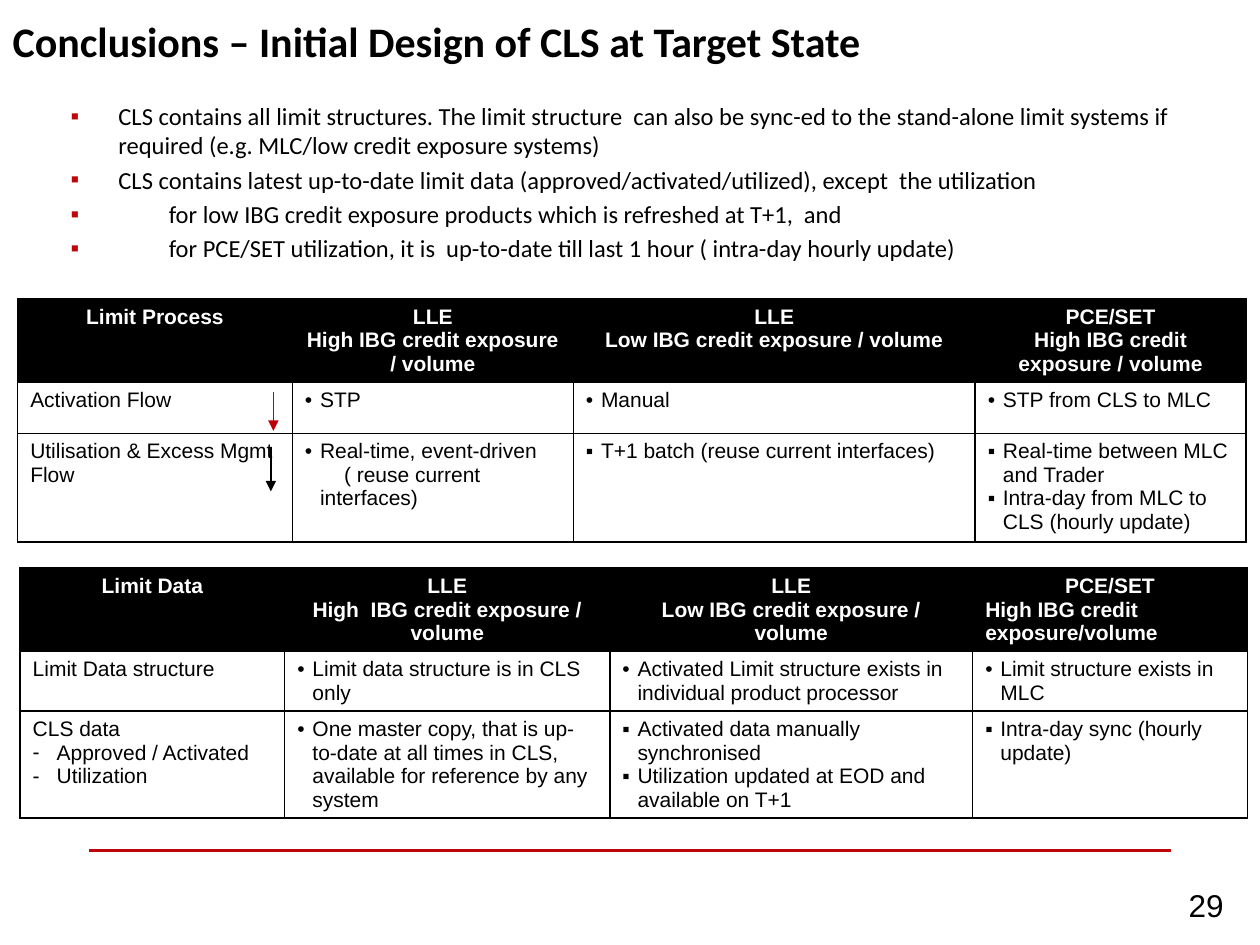
import pptx
import pptx.dml.color
import pptx.enum.shapes
import pptx.enum.text
import pptx.oxml
import pptx.oxml.ns
import pptx.util
from pptx.util import Inches

COLORS = {"black": "000000", "white": "FFFFFF", "rule": "BE050A", "arrow": "BE0006"}
ALIGN = pptx.enum.text.PP_ALIGN
ANCHOR = pptx.enum.text.MSO_ANCHOR
NS = pptx.oxml.ns.nsdecls("a")


def rgb(name):
    return pptx.dml.color.RGBColor.from_string(COLORS[name])


def xml(markup):
    """Parse one drawing element, given without its namespace."""
    tag, rest = markup[1:].split(" ", 1)
    return pptx.oxml.parse_xml(f"<{tag} {NS} {rest}")


def write(paragraph, text, size=12, font="Arial", color="black", bold=False,
          align=ALIGN.LEFT, bullet=None, bullet_color=None, margin=0, indent=0,
          before=0):
    """Fill one paragraph; margin and indent are in inches."""
    properties = paragraph._p.get_or_add_pPr()
    properties.set("marL", str(Inches(margin)))
    properties.set("indent", str(Inches(indent)))
    if bullet_color:
        properties.append(xml(f'<a:buClr ><a:srgbClr val="{COLORS[bullet_color]}"/></a:buClr>'))
    if bullet:
        properties.append(xml('<a:buFont typeface="Arial"/>'))
        properties.append(xml(f'<a:buChar char="{bullet}"/>'))
    else:
        properties.append(xml("<a:buNone />"))
    paragraph.alignment = align
    paragraph.space_before = pptx.util.Pt(before)
    run = paragraph.add_run()
    run.text = text
    run.font.size = pptx.util.Pt(size)
    run.font.name = font
    run.font.bold = bold
    run.font.color.rgb = rgb(color)


def write_all(frame, entries, **common):
    """Write (text, format) pairs, one paragraph each."""
    for number, (text, style) in enumerate(entries):
        paragraph = frame.add_paragraph() if number else frame.paragraphs[0]
        write(paragraph, text, **{**common, **style, **({} if number else {"before": 0})})


def place(shape, left, top, width, height):
    shape.left, shape.top = Inches(left), Inches(top)
    shape.width, shape.height = Inches(width), Inches(height)


def add_line(slide, start, end, color, weight, arrow=False):
    line = slide.shapes.add_connector(
        pptx.enum.shapes.MSO_CONNECTOR.STRAIGHT, *map(Inches, start + end))
    line.line.color.rgb = rgb(color)
    line.line.width = pptx.util.Pt(weight)
    if arrow:
        line.line._get_or_add_ln().append(xml('<a:tailEnd type="triangle"/>'))
    line._element.spPr.append(xml("<a:effectLst />"))


def add_title(slide, box, text):
    title = slide.shapes.title
    place(title, *box)
    title.text_frame.vertical_anchor = ANCHOR.MIDDLE
    title.text_frame.auto_size = pptx.enum.text.MSO_AUTO_SIZE.NONE
    write(title.text_frame.paragraphs[0], text, size=24, font="Calibri", bold=True)


def add_conclusions(slide, box, entries):
    body = slide.placeholders[1]
    place(body, *box)
    body.text_frame.auto_size = pptx.enum.text.MSO_AUTO_SIZE.NONE
    write_all(body.text_frame, entries, size=14, font="Calibri", bullet="▪",
              bullet_color="rule", before=2.8)


def add_limit_table(slide, left, top, widths, heights, rows):
    table = slide.shapes.add_table(
        len(rows), len(widths), Inches(left), Inches(top),
        Inches(sum(widths)), Inches(sum(heights))).table
    table.horz_banding = False
    for column, width in zip(table.columns, widths):
        column.width = Inches(width)
    for index, (row, height) in enumerate(zip(rows, heights)):
        table.rows[index].height = Inches(height)
        common = dict(color="black")
        if index == 0:
            common = dict(color="white", bold=True, align=ALIGN.CENTER)
        for column, entries in enumerate(row):
            cell = table.cell(index, column)
            for side in "LRTB":
                cell._tc.get_or_add_tcPr().append(xml(
                    f'<a:ln{side} w="{pptx.util.Pt(1)}"><a:solidFill>'
                    f'<a:srgbClr val="{COLORS["black"]}"/></a:solidFill></a:ln{side}>'))
            cell.fill.solid()
            cell.fill.fore_color.rgb = rgb("white" if index else "black")
            write_all(cell.text_frame, entries, **common)


def add_page_number(slide, box, number):
    frame = slide.shapes.add_textbox(*map(Inches, box)).text_frame
    frame.word_wrap = False
    frame.vertical_anchor = ANCHOR.MIDDLE
    write(frame.paragraphs[0], number, size=18, align=ALIGN.RIGHT)


def plain(*texts):
    return [(text, {}) for text in texts]


def listed(bullet, *texts, hang=0.12):
    return [(text, dict(bullet=bullet, margin=hang, indent=-hang)) for text in texts]


CONCLUSIONS = listed(
    "▪",
    "CLS contains all limit structures. The limit structure  can also be sync-ed to the "
    "stand-alone limit systems if required (e.g. MLC/low credit exposure systems)",
    "CLS contains latest up-to-date limit data (approved/activated/utilized), "
    "except  the utilization", hang=0.38,
) + listed(
    "▪",
    "for low IBG credit exposure products which is refreshed at T+1,  and",
    "for PCE/SET utilization, it is  up-to-date till last 1 hour ( intra-day hourly update)",
    hang=0.78,
)

LIMIT_PROCESS = [
    [plain("Limit Process"),
     plain("LLE", "High IBG credit exposure / volume"),
     plain("LLE", "Low IBG credit exposure / volume"),
     plain("PCE/SET", "High IBG credit exposure / volume")],
    [plain("Activation Flow"), listed("•", "STP"), listed("•", "Manual"),
     listed("•", "STP from CLS to MLC")],
    [plain("Utilisation & Excess Mgmt  Flow"),
     listed("•", "Real-time, event-driven")
     + [("( reuse current interfaces)", dict(margin=0.12, indent=0.19))],
     listed("▪", "T+1 batch (reuse current interfaces)"),
     listed("▪", "Real-time between MLC and Trader",
            "Intra-day from MLC to CLS (hourly update)")],
]

LIMIT_DATA = [
    [plain("Limit Data"),
     plain("LLE", "High  IBG credit exposure / volume"),
     plain("LLE", "Low IBG credit exposure / volume"),
     plain("PCE/SET") + [("High IBG credit exposure/volume", dict(align=ALIGN.LEFT))]],
    [plain("Limit Data structure"),
     listed("•", "Limit data structure is in CLS only"),
     listed("•", "Activated Limit structure exists in individual product processor"),
     listed("•", "Limit structure exists in MLC")],
    [plain("CLS data") + listed("-", "Approved / Activated", "Utilization", hang=0.19),
     listed("•", "One master copy, that is up-to-date at all times in CLS, "
                 "available for reference by any system"),
     listed("▪", "Activated data manually synchronised",
            "Utilization updated at EOD and available on T+1"),
     listed("▪", "Intra-day sync (hourly update)")],
]


def main():
    deck = pptx.Presentation()
    deck.slide_width, deck.slide_height = Inches(10), Inches(7.5)
    slide = deck.slides.add_slide(deck.slide_layouts[1])

    # Footer rule
    add_line(slide, (0.71, 6.75), (9.29, 6.75), "rule", 1.5)

    # Title and conclusions
    add_title(slide, (0, 0.01, 8.83, 0.63),
              "Conclusions – Initial Design of CLS at Target State")
    add_conclusions(slide, (0.46, 0.75, 9.11, 1.07), CONCLUSIONS)

    # Limit process table with its flow arrows
    add_limit_table(slide, 0.14, 2.37, (2.18, 2.23, 3.19, 2.15),
                    (0.65, 0.41, 0.86), LIMIT_PROCESS)
    add_line(slide, (2.17, 3.11), (2.17, 3.42), "arrow", 0.75, arrow=True)
    add_line(slide, (2.15, 3.55), (2.15, 3.9), "black", 0.75, arrow=True)

    # Limit data table
    add_limit_table(slide, 0.16, 4.51, (2.1, 2.58, 2.88, 2.18),
                    (0.66, 0.47, 0.85), LIMIT_DATA)

    add_page_number(slide, (8.64, 6.97, 1.17, 0.42), "29")
    deck.save("out.pptx")


if __name__ == "__main__":
    main()
